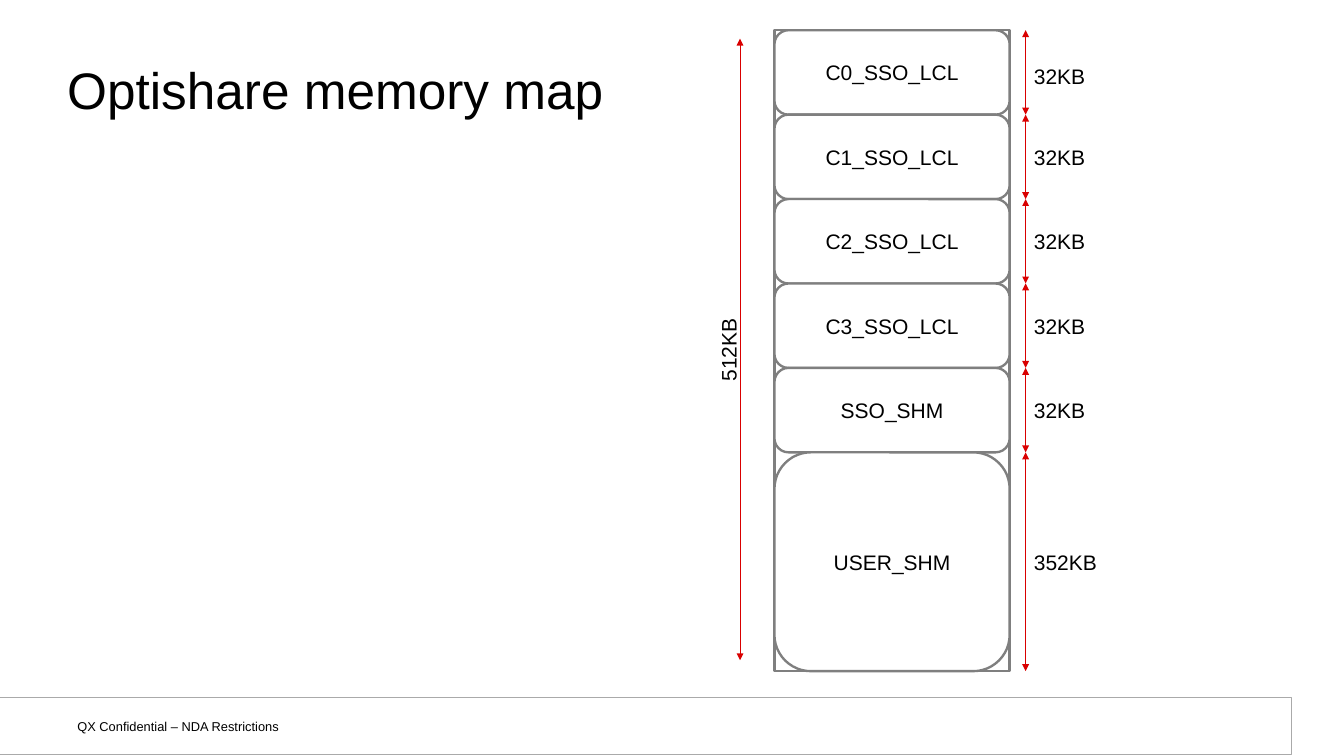
import dataclasses

import lxml.etree
import pptx
import pptx.dml.color
import pptx.enum.shapes
import pptx.enum.text
import pptx.oxml.ns
import pptx.util

Shape = pptx.enum.shapes.MSO_SHAPE
Align = pptx.enum.text.PP_ALIGN
Anchor = pptx.enum.text.MSO_ANCHOR
qn = pptx.oxml.ns.qn

WIDTH, HEIGHT = pptx.util.Inches(16), pptx.util.Inches(9)
COLS, ROWS = 16, 9
BLACK, WHITE, GREY, RED, PALE = "000000", "FFFFFF", "7F7F7F", "D90000", "AAAAAA"
MAP_LEFT, MAP_TOP, MAP_WIDTH, MAP_HEIGHT = 9.22, 0.36, 2.8, 7.63
BANK_HEIGHT = 1.005
SIZE_ARROW, TOTAL_ARROW = 12.21, 8.81
LABEL_HEIGHT = 0.4


@dataclasses.dataclass
class Region:
    name: str
    size: str
    height: float = BANK_HEIGHT
    label_width: float = 0.82
    label_drop: float = 0


REGIONS = [
    Region("C0_SSO_LCL", "32KB", label_drop=0.05),
    Region("C1_SSO_LCL", "32KB"),
    Region("C2_SSO_LCL", "32KB"),
    Region("C3_SSO_LCL", "32KB"),
    Region("SSO_SHM", "32KB"),
    Region("USER_SHM", "352KB", MAP_HEIGHT - 5 * BANK_HEIGHT, 0.96),
]


def x(cols: float) -> int:
    return round(WIDTH * cols / COLS)


def y(rows: float) -> int:
    return round(HEIGHT * rows / ROWS)


def rgb(value: str) -> pptx.dml.color.RGBColor:
    return pptx.dml.color.RGBColor.from_string(value)


def style(p, size: float, align=Align.LEFT) -> None:
    p.alignment = align
    p.font.size = pptx.util.Pt(size)
    p.font.name = "Arial"
    p.font.color.rgb = rgb(BLACK)


def add_box(s, kind, left: float, top: float, width: float, height: float,
            line: str = GREY, weight: float = 2, text: str = ""):
    sp = s.shapes.add_shape(kind, x(left), y(top), x(width), y(height))
    sp.shadow.inherit = False
    sp.fill.solid()
    sp.fill.fore_color.rgb = rgb(WHITE)
    sp.line.color.rgb = rgb(line)
    sp.line.width = pptx.util.Pt(weight)
    if text:
        tf = sp.text_frame
        tf.text = text
        tf.vertical_anchor = Anchor.MIDDLE
        style(tf.paragraphs[0], 18, Align.CENTER)
    return sp


def add_label(s, text: str, left: float, top: float, width: float,
              height: float = LABEL_HEIGHT, size: float = 18):
    sp = s.shapes.add_textbox(x(left), y(top), x(width), y(height))
    tf = sp.text_frame
    tf.text = text
    tf.word_wrap = False
    style(tf.paragraphs[0], size)
    return sp


def add_span(s, col: float, top: float, bottom: float) -> None:
    sp = s.shapes.add_connector(pptx.enum.shapes.MSO_CONNECTOR.STRAIGHT,
                                x(col), y(top), x(col), y(bottom))
    sp.line.color.rgb = rgb(RED)
    sp.line.width = pptx.util.Pt(0.75)
    ln = sp.line._get_or_add_ln()
    for end in ("a:headEnd", "a:tailEnd"):
        lxml.etree.SubElement(ln, qn(end), type="triangle")
    lxml.etree.SubElement(sp._element.spPr, qn("a:effectLst"))


def add_title(s, text: str) -> None:
    sp = s.shapes.title
    sp.left, sp.top, sp.width, sp.height = x(0.8), y(0.36), x(14.4), y(1.5)
    tf = sp.text_frame
    tf.text = text
    tf.auto_size = pptx.enum.text.MSO_AUTO_SIZE.NONE
    tf.vertical_anchor = Anchor.MIDDLE
    tf.margin_left = tf.margin_right = tf.margin_top = tf.margin_bottom = 0
    p = tf.paragraphs[0]
    p.line_spacing = 0.9
    style(p, 44)


def add_footer(s, text: str) -> None:
    add_box(s, Shape.RECTANGLE, -0.03, 8.3, 15.4, 0.68, PALE, 0.75)
    tf = add_label(s, text, 0.79, 8.48, 3.69, 0.31, 11).text_frame
    tf.word_wrap = True
    tf.margin_left = tf.margin_right = pptx.util.Inches(0.13)
    tf.margin_top = tf.margin_bottom = pptx.util.Inches(0.07)


def add_memory_map(s) -> None:
    add_box(s, Shape.RECTANGLE, MAP_LEFT, MAP_TOP, MAP_WIDTH, MAP_HEIGHT)
    add_span(s, TOTAL_ARROW, MAP_TOP + 0.1, MAP_TOP + MAP_HEIGHT - 0.13)
    add_label(s, "512KB", 8.19, 3.96, 0.96).rotation = 270
    top = MAP_TOP
    for region in REGIONS:
        bottom = top + region.height
        add_box(s, Shape.ROUNDED_RECTANGLE, MAP_LEFT, top, MAP_WIDTH,
                region.height, text=region.name)
        add_span(s, SIZE_ARROW, top, bottom)
        label_top = (top + bottom - LABEL_HEIGHT) / 2 + region.label_drop
        add_label(s, region.size, SIZE_ARROW, label_top, region.label_width)
        top = bottom


def main() -> None:
    """Build the memory map slide and save it."""
    prs = pptx.Presentation()
    prs.slide_width, prs.slide_height = WIDTH, HEIGHT
    s = prs.slides.add_slide(prs.slide_layouts.get_by_name("Title Only"))
    add_footer(s, "QX Confidential – NDA Restrictions")
    add_title(s, "Optishare memory map")
    add_memory_map(s)
    prs.save("out.pptx")


if __name__ == "__main__":
    main()
